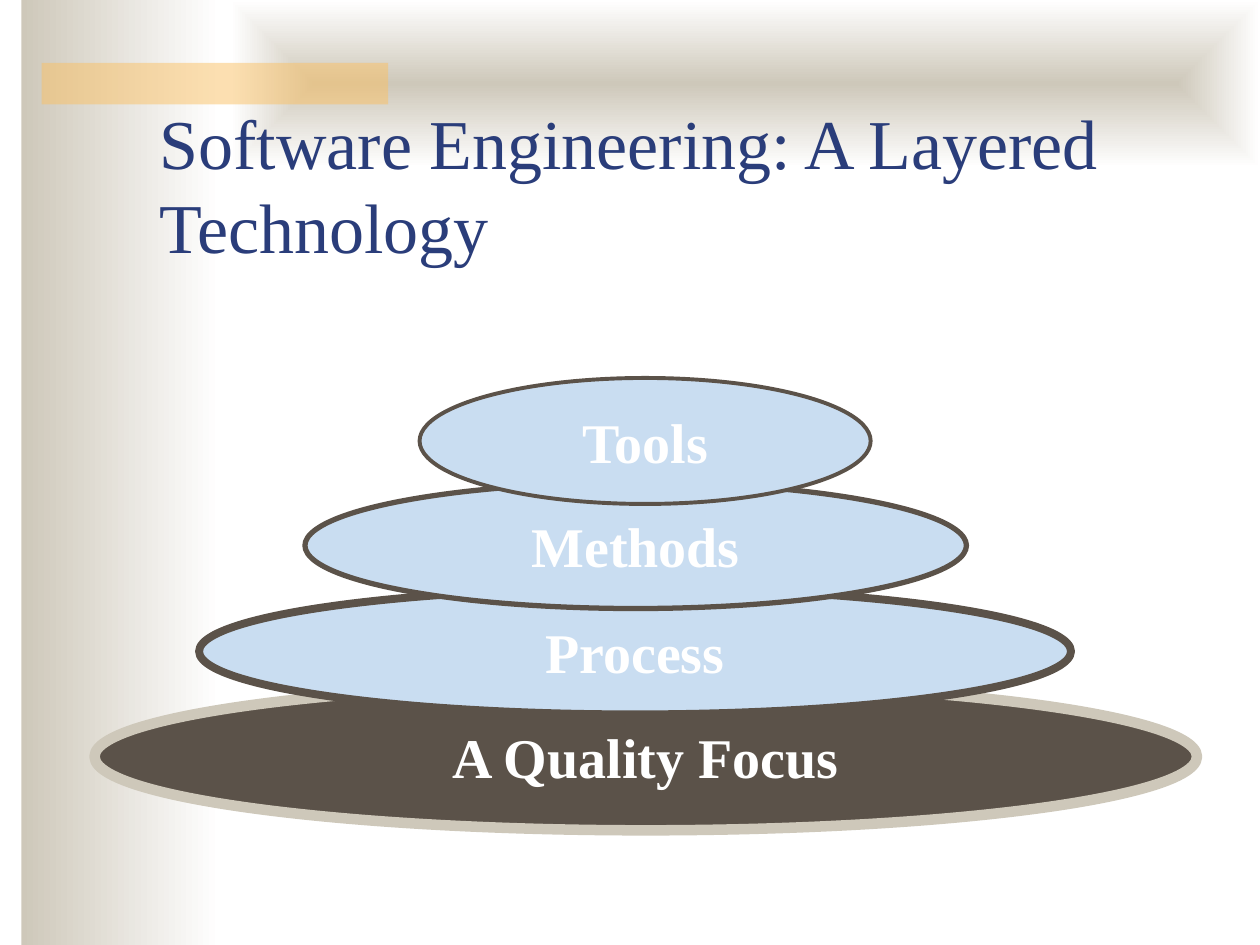
from typing import NamedTuple

from lxml.etree import SubElement
from pptx import Presentation
from pptx.dml.color import RGBColor
from pptx.enum.shapes import MSO_SHAPE as Geo
from pptx.enum.text import MSO_ANCHOR as Anchor, PP_ALIGN as Align
from pptx.oxml.ns import qn
from pptx.util import Inches, Pt

SAND, BROWN, SKY, WHITE = "CEC8BA", "5B5249", "C9DDF1", "FFFFFF"
NAVY, GOLD = "2A3D7A", "FAC164"


class Layer(NamedTuple):
    name: str
    left: float
    top: float
    width: float
    height: float
    line: float
    fill: str = SKY
    edge: str = BROWN


def rgb(code: str) -> RGBColor:
    return RGBColor.from_string(code)


def add_shape(slide, geo, left: float, top: float, width: float, height: float):
    shape = slide.shapes.add_shape(
        geo, Inches(left), Inches(top), Inches(width), Inches(height))
    shape.shadow.inherit = False
    shape.line.fill.background()
    return shape


def paint(shape, code: str) -> None:
    shape.fill.solid()
    shape.fill.fore_color.rgb = rgb(code)


def fade(shape, start: str, end: str, centre: bool = False) -> None:
    """Fade left to right, or outward from the centre."""
    fill = shape.fill
    fill.gradient()
    fill.gradient_angle = 0
    for stop, code in zip(fill.gradient_stops, (start, end)):
        stop.color.rgb = rgb(code)
    if centre:
        grad = shape.element.spPr.find(qn("a:gradFill"))
        grad.remove(grad.find(qn("a:lin")))
        route = SubElement(grad, qn("a:path"), {"path": "rect"})
        sides = {side: "50000" for side in "ltrb"}
        SubElement(route, qn("a:fillToRect"), sides)


def write(shape, text: str, *, size: float, color: str, bold: bool = False,
          align=Align.LEFT, anchor=Anchor.MIDDLE, wrap: bool = False) -> None:
    frame = shape.text_frame
    frame.word_wrap = wrap
    frame.vertical_anchor = anchor
    para = frame.paragraphs[0]
    para.alignment = align
    run = para.add_run()
    run.text = text
    font = run.font
    font.name, font.size, font.bold = "Times New Roman", Pt(size), bold
    font.color.rgb = rgb(color)


def add_layer(slide, layer: Layer) -> None:
    oval = add_shape(slide, Geo.OVAL, layer.left, layer.top,
                     layer.width, layer.height)
    paint(oval, layer.fill)
    oval.line.color.rgb = rgb(layer.edge)
    oval.line.width = Pt(layer.line)
    write(oval, layer.name, size=32, color=WHITE, bold=True, align=Align.CENTER)


deck = Presentation()
deck.slide_width, deck.slide_height = Inches(10), Inches(7.5)
slide = deck.slides.add_slide(deck.slide_layouts[6])

# Backdrop bands
fade(add_shape(slide, Geo.RECTANGLE, 0.17, 0, 1.58, 7.5), SAND, WHITE)
fade(add_shape(slide, Geo.RECTANGLE, 1.83, 0, 8.17, 1.33), SAND, WHITE, centre=True)

# Half-transparent accent bar
bar = add_shape(slide, Geo.RECTANGLE, 0.33, 0.5, 2.75, 0.33)
paint(bar, GOLD)
tint = bar.element.spPr.find(qn("a:solidFill"))[0]
SubElement(tint, qn("a:alpha"), {"val": "50000"})

# Title
title = slide.shapes.add_textbox(Inches(1.17), Inches(0.92), Inches(8.5), Inches(1.25))
write(title, "Software Engineering: A Layered Technology", size=40, color=NAVY,
      anchor=Anchor.BOTTOM, wrap=True)

# Layers, from the base up
LAYERS = [
    Layer("A Quality Focus", 0.75, 5.42, 8.75, 1.17, 6, BROWN, SAND),
    Layer("Process", 1.58, 4.67, 6.92, 1, 4.5),
    Layer("Methods", 2.42, 3.83, 5.25, 1, 3),
    Layer("Tools", 3.33, 3, 3.58, 1, 2.25),
]
for layer in LAYERS:
    add_layer(slide, layer)

deck.save("out.pptx")
